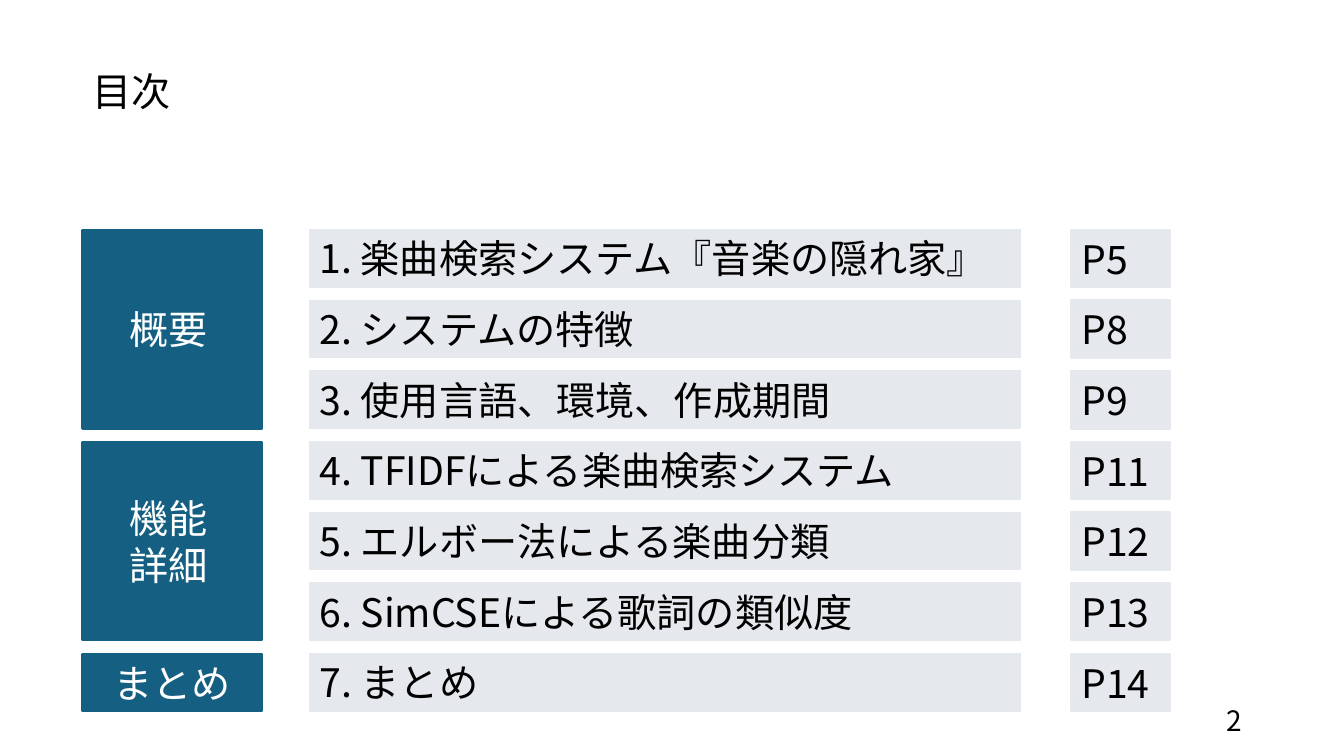
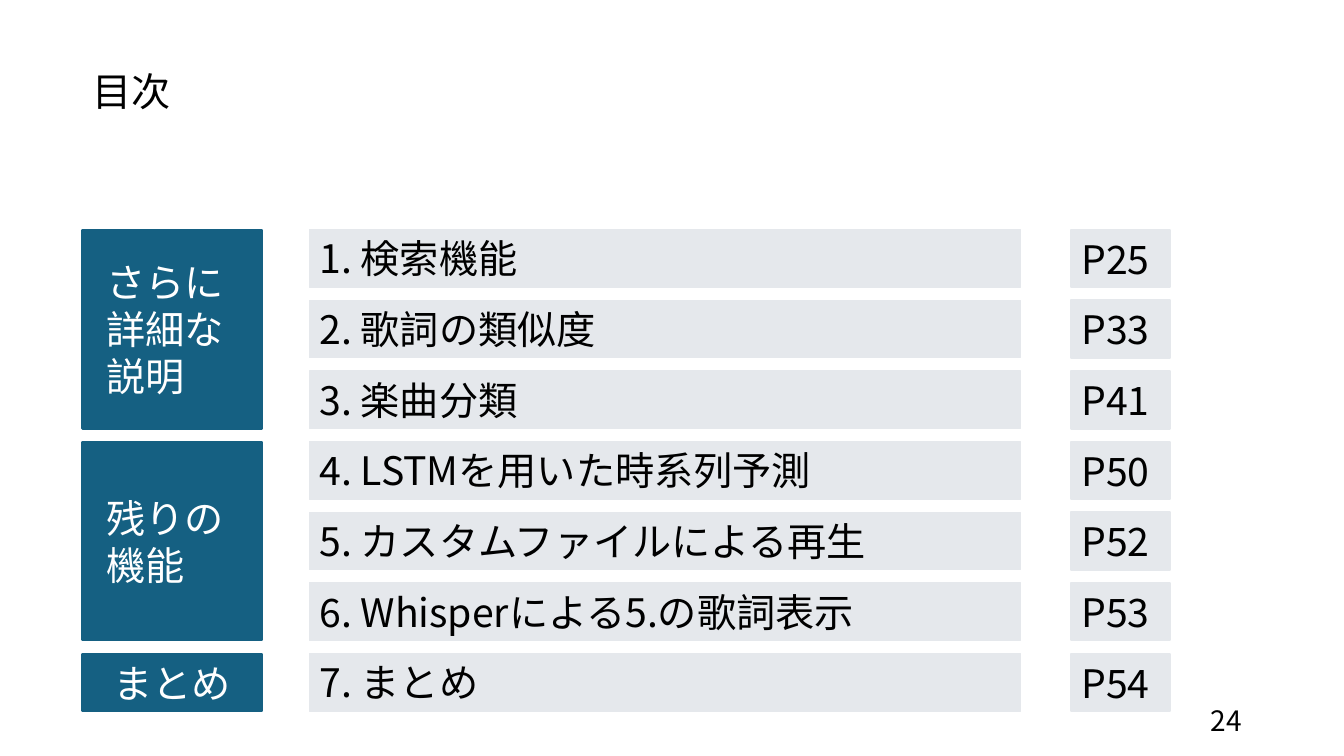
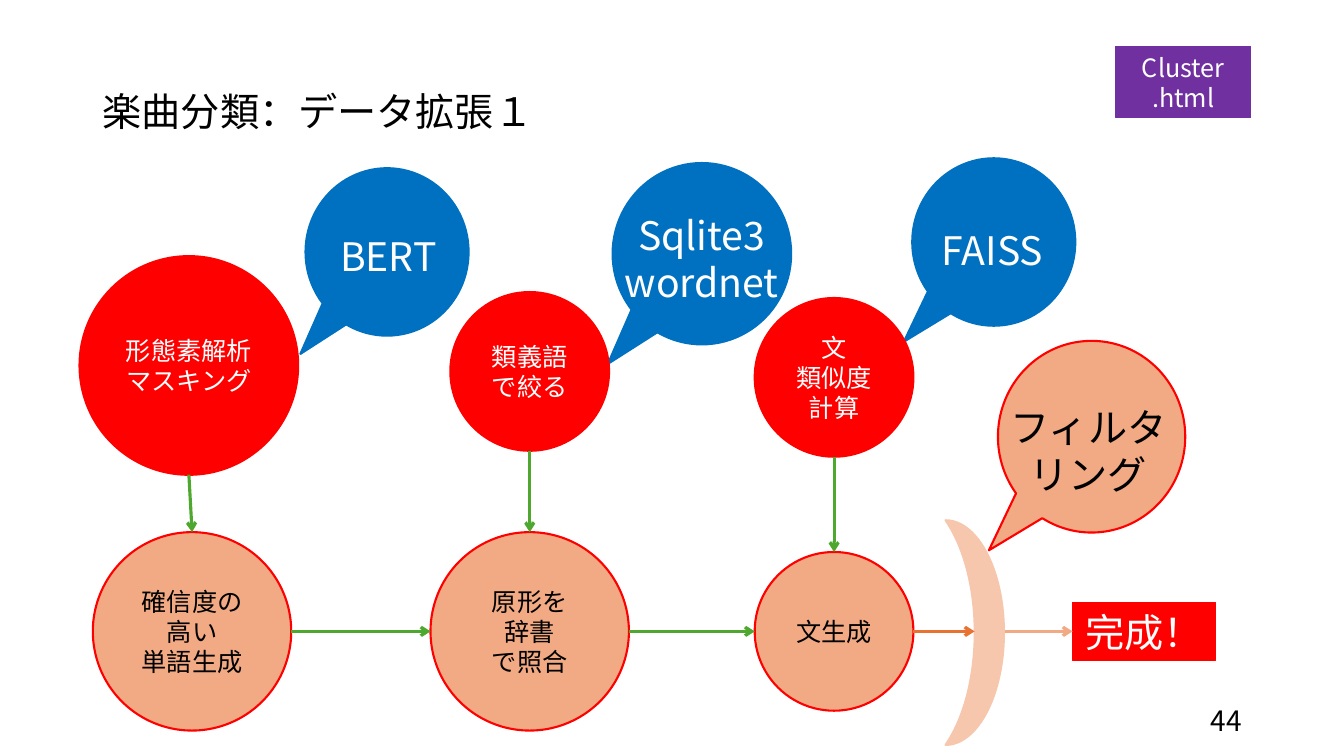
import dataclasses

import lxml.etree
import pptx
import pptx.dml.color
import pptx.enum.shapes
import pptx.enum.text
import pptx.oxml.ns
import pptx.util

Cm = pptx.util.Cm
Pt = pptx.util.Pt
Shape = pptx.enum.shapes.MSO_SHAPE
Align = pptx.enum.text.PP_ALIGN
Anchor = pptx.enum.text.MSO_ANCHOR
qn = pptx.oxml.ns.qn

FONT = "Noto Sans CJK JP"
BLACK, WHITE = "000000", "FFFFFF"
TEAL, GRAY = "156082", "E5E8EC"
RED, BLUE, PURPLE = "FF0000", "0070C0", "7030A0"
PEACH, PALE_PEACH = "F2AA84", "F6C6AD"
GREEN, ORANGE = "4EA72E", "E97132"
LARGE, NUMBER, SMALL = 28, 20, 18

ROW_TOP, ROW_PITCH, ROW_HEIGHT = 5.79, 1.78, 1.45
SECTION_LEFT, SECTION_WIDTH = 2.08, 4.52
FLOW_Y = 15.91


@dataclasses.dataclass(frozen=True)
class Area:
    """A rectangle on the page, in centimetres."""
    left: float
    top: float
    width: float
    height: float

    def lengths(self) -> tuple:
        return tuple(Cm(v) for v in (self.left, self.top, self.width, self.height))


@dataclasses.dataclass(frozen=True)
class TextStyle:
    size: int = LARGE
    color: str = BLACK
    align: Align = Align.LEFT
    anchor: Anchor = Anchor.MIDDLE
    spacing: float = 1.0
    inset: float = 0.25


@dataclasses.dataclass(frozen=True)
class Section:
    label: str
    rows: int


@dataclasses.dataclass(frozen=True)
class Entry:
    text: str
    page_label: str


@dataclasses.dataclass(frozen=True)
class Contents:
    number: int
    label_inset: float
    sections: tuple[Section, ...]
    entries: tuple[Entry, ...]


@dataclasses.dataclass(frozen=True)
class Node:
    """A circle of the flow, placed by its centre."""
    text: str
    x: float
    y: float
    diameter: float
    done_by_tool: bool = False


@dataclasses.dataclass(frozen=True)
class Balloon:
    body: Area
    tip: tuple[float, float]
    text: str
    text_area: Area
    fill: str = BLUE
    line: str = BLUE
    color: str = WHITE


@dataclasses.dataclass(frozen=True)
class Arrow:
    start: tuple[float, float]
    end: tuple[float, float]
    color: str = GREEN


CONTENTS = (
    Contents(
        2, 1.19,
        (Section("概要", 3), Section("機能詳細", 3), Section("まとめ", 1)),
        (
            Entry("1. 楽曲検索システム『音楽の隠れ家』", "P5"),
            Entry("2. システムの特徴", "P8"),
            Entry("3. 使用言語、環境、作成期間", "P9"),
            Entry("4. TFIDFによる楽曲検索システム", "P11"),
            Entry("5. エルボー法による楽曲分類", "P12"),
            Entry("6. SimCSEによる歌詞の類似度", "P13"),
            Entry("7. まとめ", "P14"),
        ),
    ),
    Contents(
        24, 0.6,
        (Section("さらに詳細な説明", 3), Section("残りの機能", 3), Section("まとめ", 1)),
        (
            Entry("1. 検索機能", "P25"),
            Entry("2. 歌詞の類似度", "P33"),
            Entry("3. 楽曲分類", "P41"),
            Entry("4. LSTMを用いた時系列予測", "P50"),
            Entry("5. カスタムファイルによる再生", "P52"),
            Entry("6. Whisperによる5.の歌詞表示", "P53"),
            Entry("7. まとめ", "P54"),
        ),
    ),
)

NODES = (
    Node("形態素解析\nマスキング", 4.76, 9.21, 5.51, True),
    Node("類義語で絞る", 13.35, 9.36, 4, True),
    Node("文\n類似度\n計算", 21.02, 9.51, 4, True),
    Node("確信度の高い\n単語生成", 4.84, FLOW_Y, 5),
    Node("原形を\n辞書\nで照合", 13.35, FLOW_Y, 5),
    Node("文生成", 21.02, FLOW_Y, 4),
)

BALLOONS = (
    Balloon(Area(7.7, 4.24, 4.11, 4.22), (7.57, 8.92),
            "BERT", Area(7.65, 5.72, 4.27, 1.45)),
    Balloon(Area(15.44, 4.11, 4.5, 4.57), (15.32, 9.17),
            "Sqlite3\nwordnet", Area(15.21, 5.08, 4.95, 2.87)),
    Balloon(Area(22.99, 3.99, 4.11, 4.22), (22.78, 8.61),
            "FAISS", Area(23.06, 5.56, 3.91, 1.45)),
    Balloon(Area(25.15, 8.59, 4.72, 4.83), (24.92, 13.87),
            "フィルタリング", Area(25.18, 10.03, 4.5, 2.64), PEACH, RED, BLACK),
)

ARROWS = (
    Arrow((4.76, 11.96), (4.84, 13.41)),
    Arrow((13.35, 11.36), (13.35, 13.41)),
    Arrow((21.02, 11.51), (21.02, 13.91)),
    Arrow((7.34, FLOW_Y), (10.85, FLOW_Y)),
    Arrow((15.85, FLOW_Y), (19.02, FLOW_Y)),
    Arrow((23.02, FLOW_Y), (24.56, FLOW_Y), ORANGE),
)


def rgb(value: str) -> pptx.dml.color.RGBColor:
    return pptx.dml.color.RGBColor.from_string(value)


def write(shape, text: str, style: TextStyle) -> None:
    """Fill a shape with one paragraph per line of text."""
    frame = shape.text_frame
    frame.word_wrap = True
    frame.vertical_anchor = style.anchor
    frame.margin_left = frame.margin_right = Cm(style.inset)
    frame.text = text
    for para in frame.paragraphs:
        para.alignment = style.align
        para.line_spacing = style.spacing
        para.font.name = FONT
        para.font.size = Pt(style.size)
        para.font.color.rgb = rgb(style.color)
        properties = para._p.get_or_add_pPr().get_or_add_defRPr()
        east_asian = lxml.etree.Element(qn("a:ea"), typeface=FONT)
        properties.find(qn("a:latin")).addnext(east_asian)


def add_text(page, area: Area, text: str, style: TextStyle) -> None:
    write(page.shapes.add_textbox(*area.lengths()), text, style)


def add_shape(page, kind: Shape, area: Area, fill: str, line: str | None = None,
              width: float = 1.5):
    shape = page.shapes.add_shape(kind, *area.lengths())
    shape.shadow.inherit = False
    shape.fill.solid()
    shape.fill.fore_color.rgb = rgb(fill)
    shape.line.color.rgb = rgb(line or fill)
    shape.line.width = Pt(width)
    return shape


def add_label(page, area: Area, fill: str, text: str, style: TextStyle,
              width: float = 1.5):
    """Add a filled rectangle that holds text."""
    box = add_shape(page, Shape.RECTANGLE, area, fill, width=width)
    write(box, text, style)
    return box


def add_arrow(page, arrow: Arrow):
    points = [Cm(v) for v in (*arrow.start, *arrow.end)]
    connector = page.shapes.add_connector(
        pptx.enum.shapes.MSO_CONNECTOR.STRAIGHT, *points)
    connector.line.color.rgb = rgb(arrow.color)
    connector.line.width = Pt(2.25)
    line = connector.line._get_or_add_ln()
    lxml.etree.SubElement(line, qn("a:tailEnd"), type="arrow")
    lxml.etree.SubElement(connector._element.spPr, qn("a:effectLst"))
    return connector


def add_balloon(page, balloon: Balloon) -> None:
    body = balloon.body
    shape = add_shape(page, Shape.OVAL_CALLOUT, body, balloon.fill, balloon.line)
    shape.adjustments[0] = (balloon.tip[0] - body.left) / body.width - 0.5
    shape.adjustments[1] = (balloon.tip[1] - body.top) / body.height - 0.5
    add_text(page, balloon.text_area, balloon.text,
             TextStyle(color=balloon.color, align=Align.CENTER))


def add_node(page, node: Node) -> None:
    radius = node.diameter / 2
    area = Area(node.x - radius, node.y - radius, node.diameter, node.diameter)
    circle = add_shape(page, Shape.OVAL, area, RED if node.done_by_tool else PEACH, RED)
    color = WHITE if node.done_by_tool else BLACK
    write(circle, node.text, TextStyle(SMALL, color, Align.CENTER))


def add_page(deck, title: str, title_area: Area, number: int):
    page = deck.slides.add_slide(deck.slide_layouts[6])
    add_text(page, title_area, title, TextStyle(spacing=0.9))
    add_text(page, Area(23.93, 17.65, 7.62, 1.02), str(number),
             TextStyle(NUMBER, align=Align.RIGHT))
    return page


def row_area(left: float, width: float, first: int, rows: int = 1) -> Area:
    return Area(left, ROW_TOP + first * ROW_PITCH, width,
                (rows - 1) * ROW_PITCH + ROW_HEIGHT)


def add_contents_page(deck, contents: Contents) -> None:
    page = add_page(deck, "目次", Area(2.08, 0.66, 28.7, 3.4), contents.number)
    first = 0
    for section in contents.sections:
        if section.rows == 1:
            style = TextStyle(color=WHITE, align=Align.CENTER)
        else:
            style = TextStyle(color=WHITE, inset=contents.label_inset)
        area = row_area(SECTION_LEFT, SECTION_WIDTH, first, section.rows)
        add_label(page, area, TEAL, section.label, style)
        first += section.rows
    for index, entry in enumerate(contents.entries):
        add_label(page, row_area(7.8, 17.91, index), GRAY, entry.text,
                  TextStyle(anchor=Anchor.TOP), 0.75)
        add_label(page, row_area(27, 2.49, index), GRAY, entry.page_label, TextStyle())


def add_flow_page(deck) -> None:
    page = add_page(deck, "楽曲分類：データ拡張１", Area(2.34, 1.04, 29.21, 3.68), 44)
    add_label(page, Area(28.12, 1.17, 3.4, 1.8), PURPLE, "Cluster\n.html",
              TextStyle(SMALL, WHITE, Align.CENTER), 0.75)
    filter_lens = add_shape(page, Shape.MOON, Area(23.83, 13.11, 1.47, 5.66), PALE_PEACH)
    filter_lens.rotation = 180
    for balloon in BALLOONS:
        add_balloon(page, balloon)
    for node in NODES:
        add_node(page, node)
    for arrow in ARROWS:
        add_arrow(page, arrow)
    goal_area = Area(27.03, FLOW_Y - ROW_HEIGHT / 2, 3.6, ROW_HEIGHT)
    goal = add_label(page, goal_area, RED, "完成！",
                     TextStyle(color=WHITE, align=Align.CENTER), 0.75)
    last = add_arrow(page, Arrow((25.32, FLOW_Y), (goal_area.left, FLOW_Y), PEACH))
    last.end_connect(goal, 1)


def main() -> None:
    deck = pptx.Presentation()
    deck.slide_width, deck.slide_height = Cm(33.87), Cm(19.05)
    for contents in CONTENTS:
        add_contents_page(deck, contents)
    add_flow_page(deck)
    deck.save("out.pptx")


if __name__ == "__main__":
    main()
